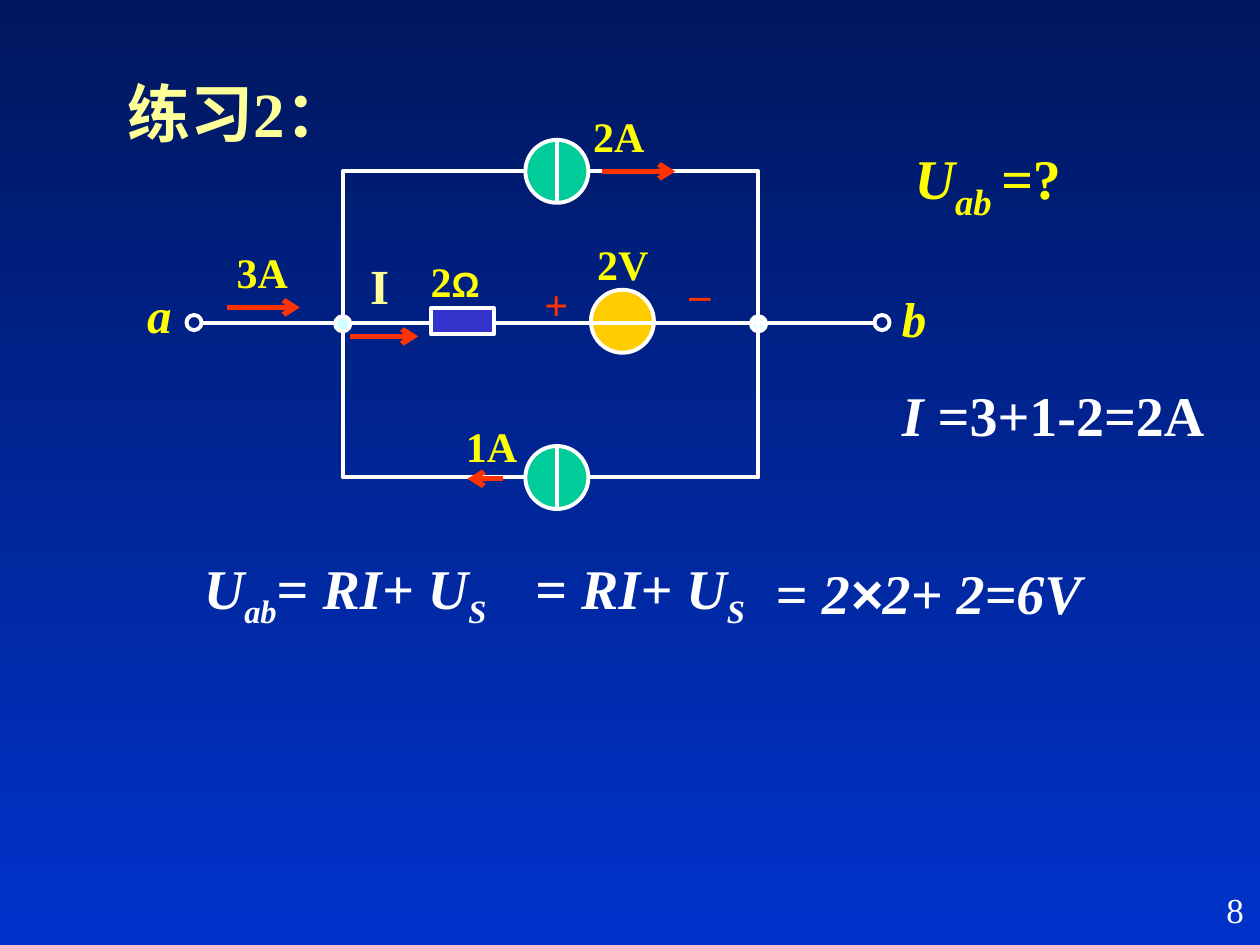
import lxml.etree
import pptx
import pptx.dml.color
import pptx.enum.shapes
import pptx.enum.text
import pptx.oxml.ns
import pptx.util

COLORS = {
    "night": "00175E", "blue": "0033CC", "white": "FFFFFF", "yellow": "FFFF00",
    "cream": "FFFF99", "red": "FF3300", "green": "00CC99", "amber": "FFCC00",
    "indigo": "3333CC", "ice": "CCFFFF",
}
SERIF = "Times New Roman"
INCH = pptx.util.Inches
SHAPE = pptx.enum.shapes.MSO_SHAPE
ALIGN = pptx.enum.text.PP_ALIGN
ANCHOR = pptx.enum.text.MSO_ANCHOR

# Circuit grid: two outer columns, three branches, terminals at both ends
LEFT, CENTRE, RIGHT = 2.72, 4.42, 6.02
TOP, MIDDLE, BOTTOM = 1.36, 2.56, 3.79
TERMINAL_A, TERMINAL_B = 1.54, 7.0
SOURCE_SIZE, DOT_SIZE = 0.5, 0.12

ITALIC = {"italic": True}
SUBSCRIPT = {"italic": True, "subscript": True}
VOLTAGE_LAW = [("RI+ U", ITALIC), ("S", SUBSCRIPT)]


def color(name):
    return pptx.dml.color.RGBColor.from_string(COLORS[name])


def paint_background(page):
    fill = page.background.fill
    fill.gradient()
    fill.gradient_angle = 270
    for stop, name, position in zip(fill.gradient_stops, ("night", "blue"), (0, 1)):
        stop.color.rgb = color(name)
        stop.position = position


def fill_text(box, runs, size, ink, align=ALIGN.LEFT, anchor=ANCHOR.TOP,
              wrap=True, bold=True):
    """Put one paragraph in a box; runs is a string or (text, style) pairs."""
    frame = box.text_frame
    frame.word_wrap = wrap
    frame.vertical_anchor = anchor
    frame.auto_size = pptx.enum.text.MSO_AUTO_SIZE.NONE
    para = frame.paragraphs[0]
    para.alignment = align
    para.font.name = SERIF
    para.font.size = pptx.util.Pt(size)
    para.font.bold = bold
    para.font.color.rgb = color(ink)
    for text, style in [(runs, {})] if isinstance(runs, str) else runs:
        span = para.add_run()
        span.text = text
        if "italic" in style:
            span.font.italic = style["italic"]
        if "size" in style:
            span.font.size = pptx.util.Pt(style["size"])
        if "font" in style:
            span.font.name = style["font"]
        if "subscript" in style:
            span.font._element.set("baseline", "-25000")


def add_text(page, at, runs, size, ink, **layout):
    box = page.shapes.add_textbox(*map(INCH, at))
    fill_text(box, runs, size, ink, **layout)


def add_part(page, kind, x, y, width, height, fill=None):
    """Add a white-outlined preset shape centred on x, y."""
    part = page.shapes.add_shape(kind, INCH(x - width / 2), INCH(y - height / 2),
                                 INCH(width), INCH(height))
    part.shadow.inherit = False
    if fill:
        part.fill.solid()
        part.fill.fore_color.rgb = color(fill)
    else:
        part.fill.background()
    part.line.color.rgb = color("white")
    part.line.width = pptx.util.Pt(2.25)


def add_circle(page, x, y, size, fill=None):
    add_part(page, SHAPE.OVAL, x, y, size, size, fill)


def add_line(page, start, end, ink="white", width=2.25):
    line = page.shapes.add_connector(pptx.enum.shapes.MSO_CONNECTOR.STRAIGHT,
                                     *map(INCH, start + end))
    line.line.color.rgb = color(ink)
    line.line.width = pptx.util.Pt(width)
    lxml.etree.SubElement(line._element.spPr, pptx.oxml.ns.qn("a:effectLst"))
    return line


def add_current_arrow(page, x, y, length):
    arrow = add_line(page, (x, y), (x + length, y), "red", 3)
    lxml.etree.SubElement(arrow.line._get_or_add_ln(),
                          pptx.oxml.ns.qn("a:tailEnd"), type="arrow")


def add_current_source(page, y):
    add_circle(page, CENTRE, y, SOURCE_SIZE, "green")
    add_line(page, (CENTRE, y + SOURCE_SIZE / 2), (CENTRE, y - SOURCE_SIZE / 2))


def add_circuit(page):
    add_circle(page, RIGHT, MIDDLE + 0.01, DOT_SIZE, "ice")
    add_circle(page, 4.94, MIDDLE - 0.01, SOURCE_SIZE, "amber")
    add_line(page, (TERMINAL_A + DOT_SIZE / 2, MIDDLE),
             (TERMINAL_B - DOT_SIZE / 2, MIDDLE))
    add_part(page, SHAPE.RECTANGLE, 3.67, MIDDLE - 0.01, 0.5, 0.21, "indigo")
    add_part(page, SHAPE.RECTANGLE, (LEFT + RIGHT) / 2, (TOP + BOTTOM) / 2,
             RIGHT - LEFT, BOTTOM - TOP)
    for branch in (TOP, BOTTOM):
        add_current_source(page, branch)
    add_circle(page, LEFT, MIDDLE + 0.01, DOT_SIZE, "ice")
    for terminal in (TERMINAL_A, TERMINAL_B):
        add_circle(page, terminal, MIDDLE, DOT_SIZE)
    for x, y, length in ((4.78, TOP, 0.58), (1.8, 2.44, 0.58),
                         (3.99, 3.8, -0.28), (2.78, 2.67, 0.54)):
        add_current_arrow(page, x, y, length)


def add_circuit_labels(page):
    for text, x, y in (("2A", 4.61, 0.83), ("2V", 4.64, 1.84),
                       ("3A", 1.78, 1.91), ("1A", 3.6, 3.29)):
        add_text(page, (x, y, 0.8, 0.5), text, 24, "yellow")
    add_text(page, (3.32, 1.98, 0.6, 0.5),
             [("2", {}), ("Ω", {"font": "Arial", "size": 20})], 24, "yellow")
    for text, x, y in (("a", 1.07, 2.21), ("b", 7.06, 2.24)):
        add_text(page, (x, y, 0.42, 0.57), [(text, ITALIC)], 28, "yellow")
    add_text(page, (2.84, 1.98, 0.76, 0.57), "I", 28, "cream")
    for text, x, y in (("+", 4.23, 2.16), ("_", 5.37, 1.96)):
        add_text(page, (x, y, 0.37, 0.5), text, 24, "red", align=ALIGN.CENTER,
                 anchor=ANCHOR.MIDDLE, wrap=False)


def add_formulas(page):
    add_text(page, (7.06, 1.03, 1.56, 0.79),
             [("U", ITALIC), ("ab ", {**SUBSCRIPT, "size": 36}),
              ("=", ITALIC), ("?", {})],
             32, "yellow", align=ALIGN.CENTER, anchor=ANCHOR.MIDDLE)
    formulas = (
        ((1.52, 4.34, 2.44, 0.71),
         [("U", ITALIC), ("ab", SUBSCRIPT), ("= ", {})] + VOLTAGE_LAW),
        ((4.15, 4.34, 1.86, 0.71), [("= ", {})] + VOLTAGE_LAW),
        ((6.06, 4.38, 2.72, 0.64),
         [("= ", {}), ("2", ITALIC), ("×", {**ITALIC, "font": "Arial"}),
          ("2+ 2=6V", ITALIC)]),
        ((7.06, 2.97, 2.6, 0.64), [("I", ITALIC), (" =3+1-2=2A", {})]),
    )
    for at, runs in formulas:
        add_text(page, at, runs, 32, "white", anchor=ANCHOR.MIDDLE, wrap=False)


def place_title(page):
    title = page.shapes.title
    title.left, title.top, title.width, title.height = map(INCH, (0.67, 0.54, 2.44, 0.7))
    fill_text(title, "练习2：", 36, "cream", align=ALIGN.CENTER)


def main():
    deck = pptx.Presentation()
    deck.slide_width, deck.slide_height = INCH(10), INCH(7.5)
    page = deck.slides.add_slide(deck.slide_layouts[5])
    paint_background(page)
    place_title(page)
    add_circuit(page)
    add_circuit_labels(page)
    add_formulas(page)
    add_text(page, (7.89, 7, 2.08, 0.5), "8", 20, "white", align=ALIGN.RIGHT, bold=False)
    deck.save("out.pptx")


if __name__ == "__main__":
    main()
